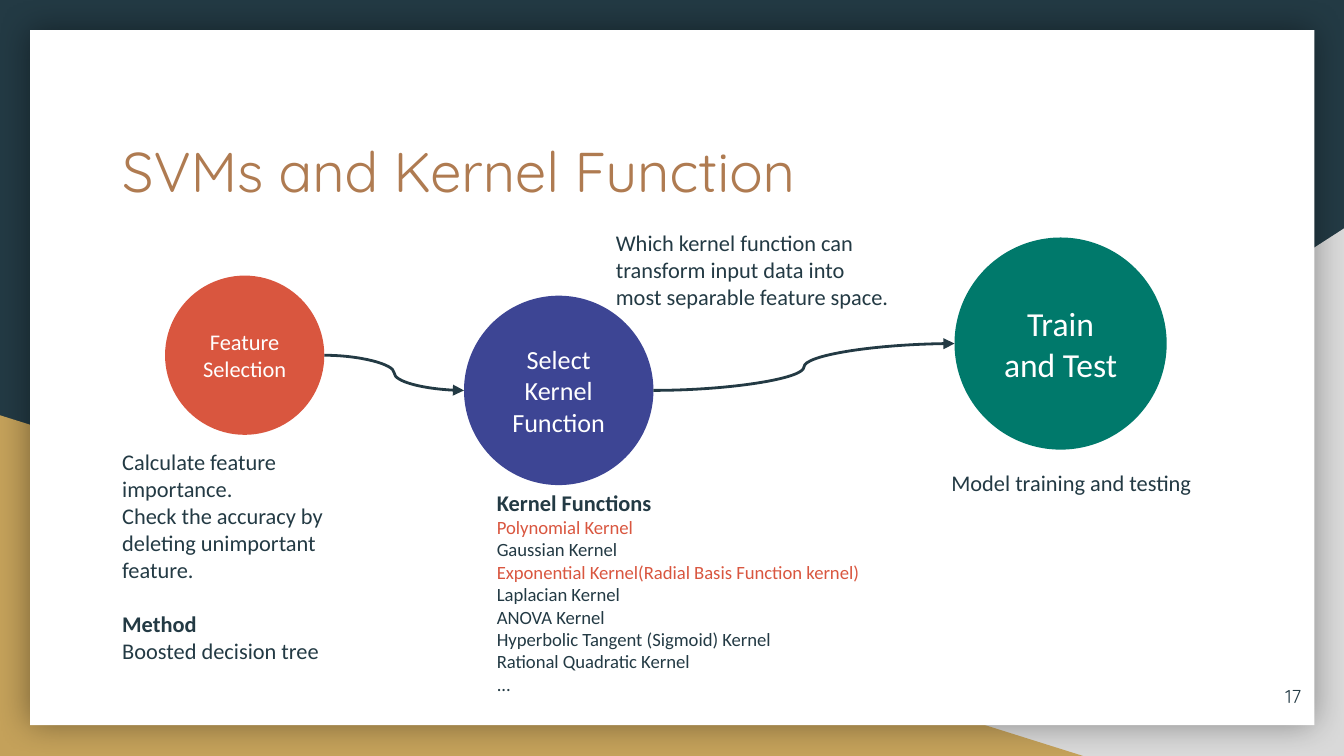
"""Build the slide on support vector machines and kernel functions."""
from dataclasses import dataclass

from lxml.etree import SubElement
from pptx import Presentation
from pptx.dml.color import RGBColor
from pptx.enum.shapes import MSO_CONNECTOR, MSO_SHAPE
from pptx.enum.text import MSO_ANCHOR, PP_ALIGN
from pptx.oxml.ns import qn
from pptx.util import Cm, Pt


@dataclass(frozen=True)
class Theme:
    ink: str = "233A44"
    gold: str = "C4A15A"
    gray: str = "D9D9D9"
    white: str = "FFFFFF"
    shadow: str = "000000"
    title: str = "AF7B51"
    red: str = "D9563F"
    blue: str = "3D4594"
    green: str = "00796B"
    heading_font: str = "Quicksand"
    body_font: str = "Calibri"
    title_size: int = 30
    large_size: int = 18
    medium_size: int = 14
    body_size: int = 12
    small_size: int = 10


@dataclass(frozen=True)
class Line:
    text: str
    color: str = Theme.ink
    size: int = Theme.body_size
    font: str = Theme.body_font
    bold: bool = False
    align: PP_ALIGN = PP_ALIGN.LEFT
    space_before: float = 0


THEME = Theme()


def fill_text(shape, lines, anchor):
    text_frame = shape.text_frame
    text_frame.word_wrap = True
    text_frame.vertical_anchor = anchor
    text_frame.margin_left = text_frame.margin_right = Cm(0.25)
    text_frame.margin_top = text_frame.margin_bottom = Cm(0.25)
    text_frame.text = "\n".join(line.text for line in lines)
    for paragraph, line in zip(text_frame.paragraphs, lines):
        paragraph.alignment = line.align
        if line.space_before:
            paragraph.space_before = Pt(line.space_before)
        for run in paragraph.runs:
            run.font.name = line.font
            run.font.size = Pt(line.size)
            run.font.bold = line.bold
            run.font.color.rgb = RGBColor.from_string(line.color)


def add_text(slide, box, lines, anchor=MSO_ANCHOR.TOP):
    shape = slide.shapes.add_textbox(*map(Cm, box))
    fill_text(shape, lines, anchor)


def add_filled_shape(slide, kind, box, color):
    shape = slide.shapes.add_shape(kind, *map(Cm, box))
    shape.shadow.inherit = False
    shape.fill.solid()
    shape.fill.fore_color.rgb = RGBColor.from_string(color)
    shape.line.fill.background()
    return shape


def add_glow(shape):
    effects = shape.element.spPr.find(qn("a:effectLst"))
    shadow = SubElement(effects, qn("a:outerShdw"), blurRad=str(Pt(18)), dist="0", algn="ctr", rotWithShape="0")
    color = SubElement(shadow, qn("a:srgbClr"), val=THEME.shadow)
    SubElement(color, qn("a:alpha"), val="40000")


def add_backdrop(slide):
    slide.background.fill.solid()
    slide.background.fill.fore_color.rgb = RGBColor.from_string(THEME.ink)
    corner = add_filled_shape(slide, MSO_SHAPE.RIGHT_TRIANGLE, (9.96, 4.32, 15.44, 9.97), THEME.gray)
    corner.element.spPr.xfrm.set("flipH", "1")
    add_filled_shape(slide, MSO_SHAPE.RIGHT_TRIANGLE, (0, 7.85, 20.47, 6.44), THEME.gold)
    add_glow(add_filled_shape(slide, MSO_SHAPE.RECTANGLE, (0.57, 0.57, 24.27, 13.14), THEME.white))


def add_step(slide, left, top, diameter, color, text, size):
    circle = add_filled_shape(slide, MSO_SHAPE.OVAL, (left, top, diameter, diameter), color)
    fill_text(circle, [Line(text, THEME.white, size, align=PP_ALIGN.CENTER)], MSO_ANCHOR.MIDDLE)
    return circle


def add_curved_arrow(slide, source, target):
    connector = slide.shapes.add_connector(
        MSO_CONNECTOR.CURVE,
        source.left + source.width, source.top + source.height // 2,
        target.left, target.top + target.height // 2,
    )
    connector.line.color.rgb = RGBColor.from_string(THEME.ink)
    connector.line.width = Pt(1.5)
    SubElement(connector.line._get_or_add_ln(), qn("a:tailEnd"), type="triangle")
    SubElement(connector.element.spPr, qn("a:effectLst"))


def main():
    presentation = Presentation()
    presentation.slide_width, presentation.slide_height = Cm(25.4), Cm(14.29)
    slide = presentation.slides.add_slide(presentation.slide_layouts[6])
    add_backdrop(slide)
    add_text(slide, (2.06, 2.34, 21.56, 1.75),
             [Line("SVMs and Kernel Function", THEME.title, THEME.title_size, THEME.heading_font)])

    kernels = [
        ("Polynomial Kernel", THEME.red),
        ("Gaussian Kernel", THEME.ink),
        ("Exponential Kernel(Radial Basis Function kernel)", THEME.red),
        ("Laplacian Kernel", THEME.ink),
        ("ANOVA Kernel", THEME.ink),
        ("Hyperbolic Tangent (Sigmoid) Kernel", THEME.ink),
        ("Rational Quadratic Kernel", THEME.ink),
        ("...", THEME.ink),
    ]
    add_text(slide, (9.14, 8.99, 8.28, 4.3),
             [Line("Kernel Functions", bold=True)]
             + [Line(name, color, THEME.small_size) for name, color in kernels])

    steps = [
        add_step(slide, 3.12, 5.21, 3.01, THEME.red, "Feature Selection", THEME.body_size),
        add_step(slide, 8.77, 5.59, 3.58, THEME.blue, "Select Kernel Function", THEME.medium_size),
        add_step(slide, 18.04, 4.49, 4.01, THEME.green, "Train and Test", THEME.large_size),
    ]
    for source, target in zip(steps, steps[1:]):
        add_curved_arrow(slide, source, target)

    add_text(slide, (2.06, 8.23, 5.44, 4.39), [
        Line("Calculate feature importance."),
        Line("Check the accuracy by deleting unimportant feature."),
        Line("Method", bold=True, space_before=14.6),
        Line("Boosted decision tree"),
    ])
    add_text(slide, (11.39, 4.09, 5.72, 2.03),
             [Line("Which kernel function can transform input data into most separable feature space.")])
    add_text(slide, (17.73, 8.61, 5.28, 2.03), [Line("Model training and testing")])
    add_text(slide, (23.32, 12.62, 1.52, 1.09),
             [Line("17", size=THEME.small_size, font=THEME.heading_font, align=PP_ALIGN.RIGHT)],
             MSO_ANCHOR.MIDDLE)
    presentation.save("out.pptx")


if __name__ == "__main__":
    main()
